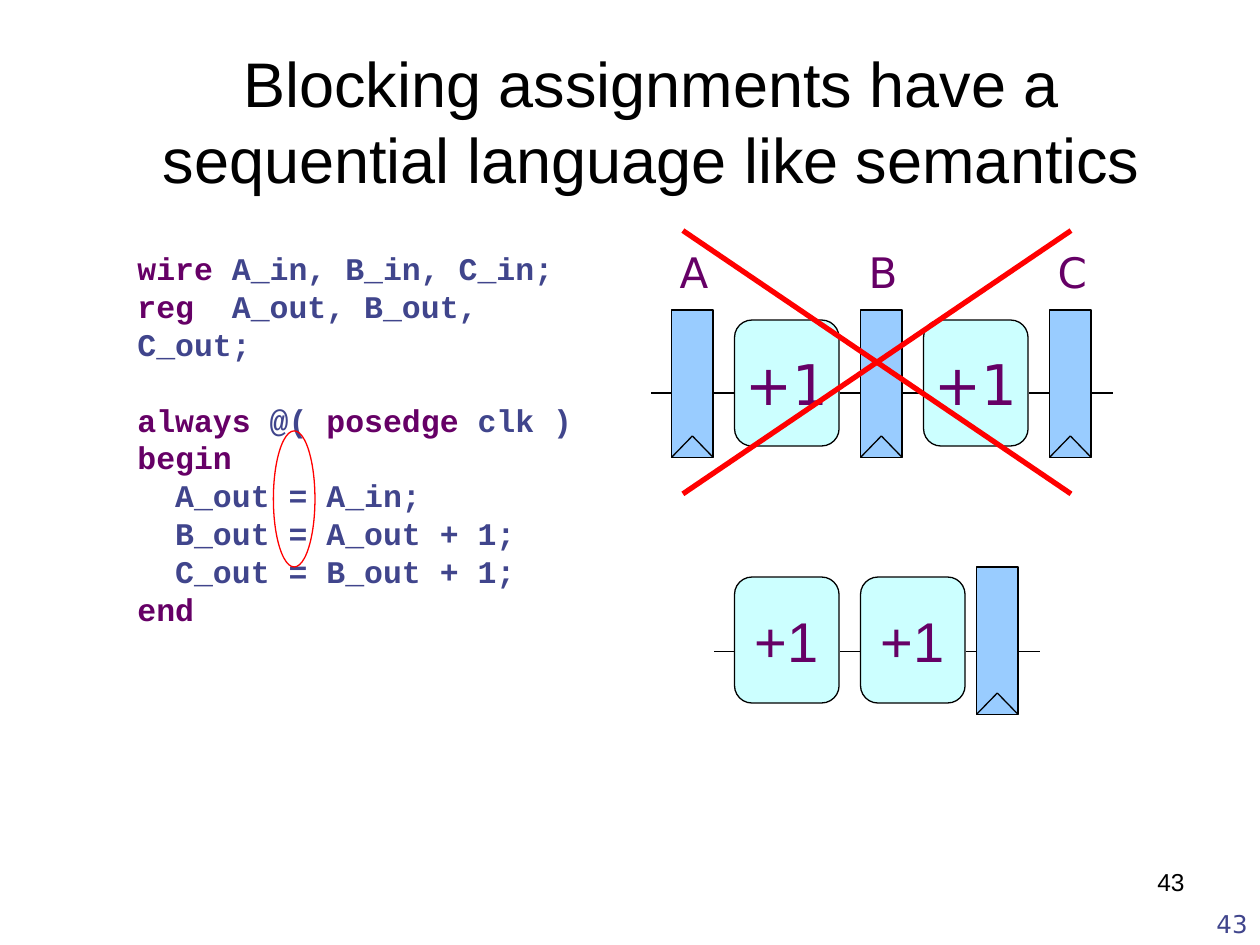
from dataclasses import dataclass

from lxml import etree
from pptx import Presentation
from pptx.dml.color import RGBColor
from pptx.enum.shapes import MSO_CONNECTOR, MSO_SHAPE
from pptx.enum.text import MSO_ANCHOR, PP_ALIGN
from pptx.oxml.ns import qn
from pptx.util import Inches, Pt

LINE = MSO_CONNECTOR.STRAIGHT
RECT, ROUND, OVAL = MSO_SHAPE.RECTANGLE, MSO_SHAPE.ROUNDED_RECTANGLE, MSO_SHAPE.OVAL
LEFT, MID, RIGHT = PP_ALIGN.LEFT, PP_ALIGN.CENTER, PP_ALIGN.RIGHT
TOP, CENTER, LOW = MSO_ANCHOR.TOP, MSO_ANCHOR.MIDDLE, MSO_ANCHOR.BOTTOM


@dataclass(frozen=True)
class Theme:
    ink: str = "000000"
    key: str = "660066"
    code: str = "40458C"
    reg: str = "99CCFF"
    block: str = "CCFFFF"
    mark: str = "FF0000"
    sans: str = "Arial"
    wide: str = "DejaVu Sans"
    mono: str = "Courier New"
    title: int = 36
    sum: int = 32
    label: int = 24
    body: int = 18
    small: int = 14
    thin: float = 0.75
    thick: float = 3


def rgb(color):
    return RGBColor.from_string(color)


def write(frame, lines, size, font, color, align=LEFT, anchor=TOP,
          bold=False, wrap=True, pad=(0.1, 0.05)):
    """Fill a frame; a line is a list of (text, color), None is a gap."""
    frame.word_wrap, frame.vertical_anchor = wrap, anchor
    frame.margin_left = frame.margin_right = Inches(pad[0])
    frame.margin_top = frame.margin_bottom = Inches(pad[1])
    if isinstance(lines, str):
        lines = [[(lines, color)]]
    para, gap = frame.paragraphs[0], False
    for i, line in enumerate(lines):
        if line is None:
            gap = True
            continue
        if i:
            para = frame.add_paragraph()
        para.alignment = align
        if gap:
            para.space_before, gap = Pt(size * 1.2), False
        for text, tint in line:
            run = para.add_run()
            run.text = text
            run.font.size, run.font.name = Pt(size), font
            run.font.bold, run.font.color.rgb = bold, rgb(tint)


class Board:
    def __init__(self, slide, theme):
        self.slide, self.theme = slide, theme

    def text(self, box, lines, **style):
        shape = self.slide.shapes.add_textbox(*map(Inches, box))
        write(shape.text_frame, lines, **style)

    def shape(self, kind, box, fill=None, color=None):
        shape = self.slide.shapes.add_shape(kind, *map(Inches, box))
        shape.shadow.inherit = False
        if fill:
            shape.fill.solid()
            shape.fill.fore_color.rgb = rgb(fill)
        else:
            shape.fill.background()
        shape.line.color.rgb = rgb(color or self.theme.ink)
        shape.line.width = Pt(self.theme.thin)
        return shape

    def line(self, x1, y1, x2, y2, color=None, width=None):
        line = self.slide.shapes.add_connector(LINE, *map(Inches, (x1, y1, x2, y2)))
        line.line.color.rgb = rgb(color or self.theme.ink)
        line.line.width = Pt(width or self.theme.thin)
        etree.SubElement(line._element.spPr, qn("a:effectLst"))

    def wire(self, y, *spans):
        for start, end in spans:
            self.line(start, y, end, y)

    def reg(self, x, y, name=None):
        """Register with its clock notch, and a label above it."""
        t = self.theme
        wide, foot = 0.33, y + 1.17
        peak = x + wide / 2
        self.shape(RECT, (x, y, wide, 1.17), t.reg)
        self.line(x, foot, peak, foot - 0.17)
        self.line(peak, foot - 0.17, x + wide, foot)
        if name:
            self.text((peak - 0.2, y - 0.55, 0.41, 0.5), name, size=t.label,
                      font=t.wide, color=t.key, align=MID, wrap=False)

    def adder(self, x, y, font):
        t = self.theme
        shape = self.shape(ROUND, (x, y, 0.83, 1), t.block)
        write(shape.text_frame, "+1", size=t.sum, font=font, color=t.key,
              align=MID, anchor=CENTER, wrap=False)


def main():
    deck = Presentation()
    deck.slide_width, deck.slide_height = Inches(10), Inches(7.5)
    t = Theme()
    board = Board(deck.slides.add_slide(deck.slide_layouts[6]), t)

    # Title
    board.text((0.67, 0.33, 9, 1.25),
               "Blocking assignments have a sequential language like semantics",
               size=t.title, font=t.sans, color=t.ink, align=MID, anchor=CENTER)

    # Verilog code
    code = [
        [("wire", t.key), (" A_in, B_in, C_in;", t.code)],
        [("reg", t.key), ("  A_out, B_out, C_out;", t.code)],
        None,
        [("always", t.key), (" @( ", t.code), ("posedge", t.key), (" clk )", t.code)],
        [("begin", t.key)],
        [("  A_out = A_in;", t.code)],
        [("  B_out = A_out + 1;", t.code)],
        [("  C_out = B_out + 1;", t.code)],
        [("end", t.key)],
    ]
    board.text((0.92, 1.81, 4.08, 3.63), code, size=t.body, font=t.mono,
               color=t.code, bold=True, pad=(0.17, 0.17))

    # Pipeline of three registers
    for i, name in enumerate("ABC"):
        x = 5.33 + 1.5 * i
        board.reg(x, 2.46, name)
        board.wire(3.12, (x - 0.16, x), (x + 0.34, x + 0.5))
        if name != "C":
            board.adder(x + 0.5, 2.54, t.wide)
            board.wire(3.12, (x + 1.34, x + 1.42))

    # Ring around the assignments, cross over the pipeline
    board.shape(OVAL, (2.17, 3.42, 0.33, 1.08), color=t.mark)
    for start, end in ((3.92, 1.83), (1.83, 3.92)):
        board.line(5.42, start, 8.5, end, t.mark, t.thick)

    # Chained adders with one register
    board.reg(7.75, 4.5)
    for x in (5.83, 6.83):
        board.adder(x, 4.58, t.sans)
    board.wire(5.17, (5.67, 5.83), (6.67, 6.75), (6.67, 6.83),
               (7.67, 7.75), (8.08, 8.25))

    # Page numbers
    board.text((7.92, 7, 2.08, 0.5), "43", size=t.small, font=t.wide,
               color=t.code, align=RIGHT, anchor=LOW)
    board.text((7.17, 6.83, 2.33, 0.52), "43", size=t.small, font=t.sans,
               color=t.ink, align=RIGHT)

    deck.save("out.pptx")


if __name__ == "__main__":
    main()
